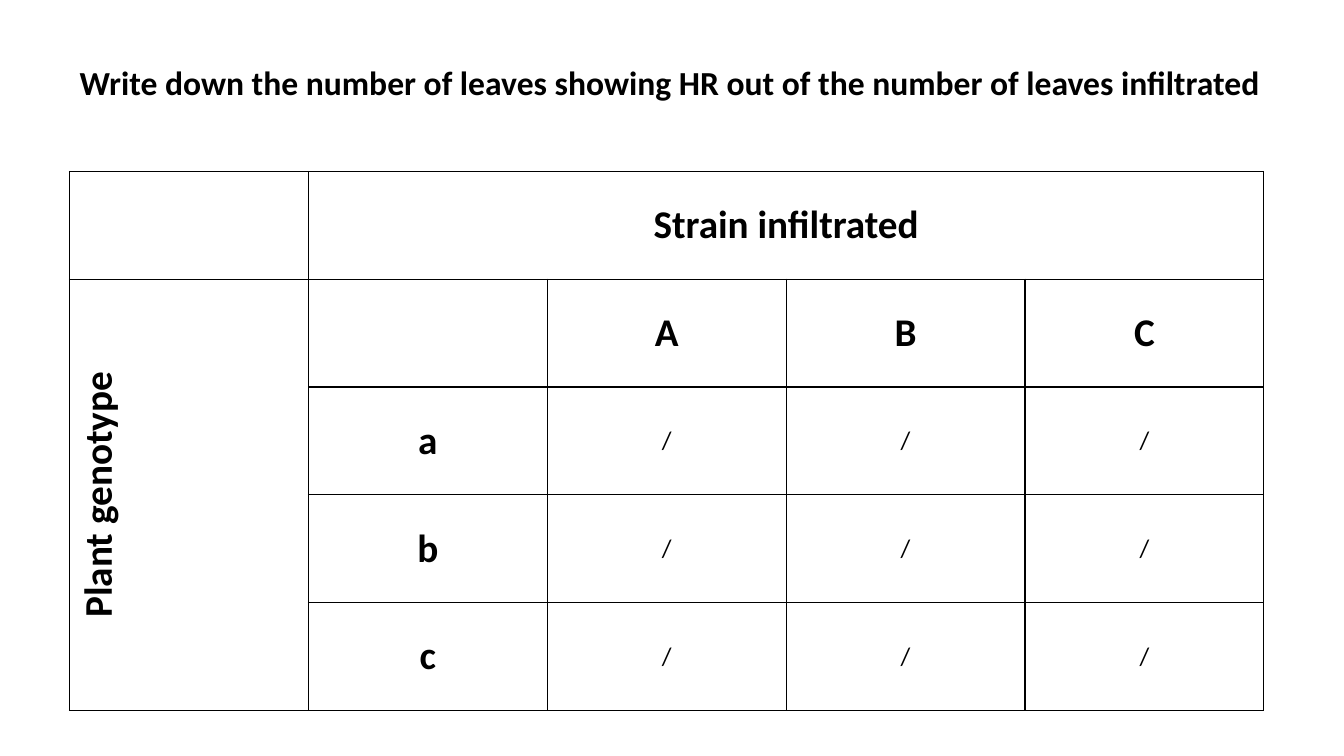
from typing import NamedTuple

from lxml.etree import SubElement
from pptx import Presentation
from pptx.dml.color import RGBColor
from pptx.enum.text import MSO_ANCHOR as Anchor, MSO_AUTO_SIZE as AutoSize, PP_ALIGN as Align
from pptx.oxml.ns import qn
from pptx.util import Pt

FONT = "Calibri"
INK = "000000"
LEFT = 49.68
COLUMN_WIDTH, ROW_HEIGHT = 170.64, 77.04
ROWS, COLUMNS = 5, 5
BORDER_WIDTH = 1


class Entry(NamedTuple):
    row: int
    column: int
    text: str
    size: float = 28
    bold: bool = True
    vertical: bool = False


STRAINS = "ABC"
GENOTYPES = "abc"
ENTRIES = [
    Entry(0, 1, "Strain infiltrated"),
    Entry(1, 0, "Plant genotype", vertical=True),
    *(Entry(1, column, strain) for column, strain in enumerate(STRAINS, 2)),
    *(Entry(row, 1, genotype) for row, genotype in enumerate(GENOTYPES, 2)),
    *(Entry(row, column, "/", 18, False)
      for row in range(2, ROWS) for column in range(2, COLUMNS)),
]


def color(value: str) -> RGBColor:
    return RGBColor.from_string(value)


def format_text(frame, size: float, bold: bool, align: Align) -> None:
    para = frame.paragraphs[0]
    para.alignment = align
    for span in para.runs:
        span.font.name = FONT
        span.font.size = Pt(size)
        span.font.bold = bold
        span.font.color.rgb = color(INK)


def add_borders(cell) -> None:
    """Outline all four sides of a cell and leave it unfilled."""
    properties = cell._tc.get_or_add_tcPr()
    for side in ("a:lnL", "a:lnR", "a:lnT", "a:lnB"):
        line = SubElement(properties, qn(side), w=str(Pt(BORDER_WIDTH)))
        fill = SubElement(line, qn("a:solidFill"))
        SubElement(fill, qn("a:srgbClr"), val=INK)
    cell.fill.background()


def add_title(slide, text: str) -> None:
    title = slide.shapes.title
    title.left, title.top = Pt(LEFT), Pt(40.32)
    title.width, title.height = Pt(874.8), Pt(65.52)
    frame = title.text_frame
    frame.text = text
    frame.word_wrap = True
    frame.auto_size = AutoSize.NONE
    frame.vertical_anchor = Anchor.TOP
    format_text(frame, 24, True, Align.LEFT)


def fill_cell(table, entry: Entry) -> None:
    cell = table.cell(entry.row, entry.column)
    cell.text_frame.text = entry.text
    cell.vertical_anchor = Anchor.MIDDLE
    if entry.vertical:
        cell._tc.get_or_add_tcPr().set("vert", "vert270")
    format_text(cell.text_frame, entry.size, entry.bold, Align.CENTER)


def add_score_table(slide) -> None:
    table = slide.shapes.add_table(
        ROWS, COLUMNS, Pt(LEFT), Pt(122.4),
        Pt(COLUMNS * COLUMN_WIDTH), Pt(ROWS * ROW_HEIGHT)).table
    table.first_row = table.horz_banding = False
    for column in table.columns:
        column.width = Pt(COLUMN_WIDTH)
    for row in table.rows:
        row.height = Pt(ROW_HEIGHT)
    for cell in table.iter_cells():
        add_borders(cell)
    table.cell(0, 1).merge(table.cell(0, COLUMNS - 1))
    table.cell(1, 0).merge(table.cell(ROWS - 1, 0))
    for entry in ENTRIES:
        fill_cell(table, entry)


def main() -> None:
    deck = Presentation()
    deck.slide_width, deck.slide_height = Pt(960), Pt(540)
    page = deck.slides.add_slide(deck.slide_layouts.get_by_name("Title Only"))
    add_score_table(page)
    add_title(page, "Write down the number of leaves showing HR "
                    "out of the number of leaves infiltrated")
    deck.save("out.pptx")


if __name__ == "__main__":
    main()
